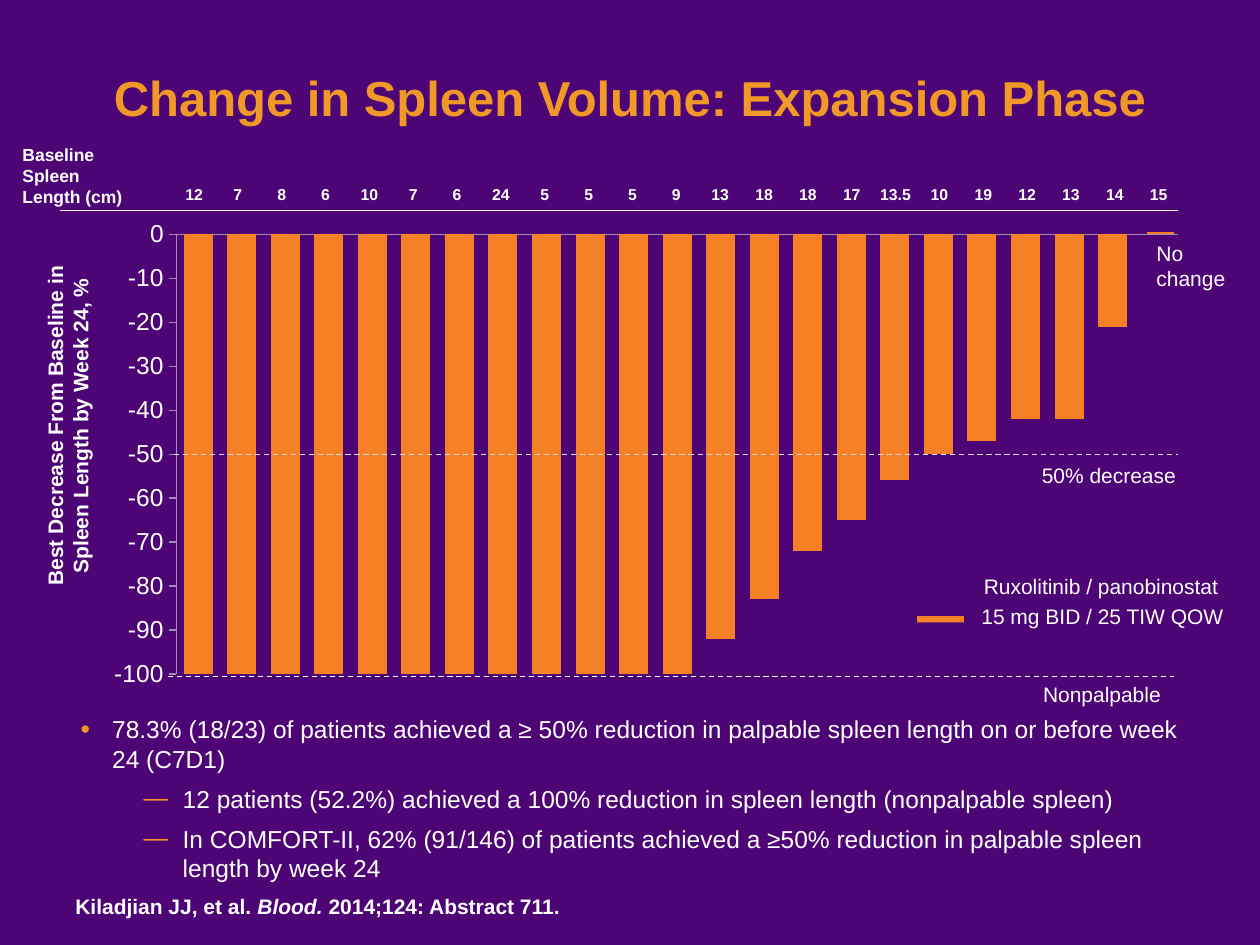
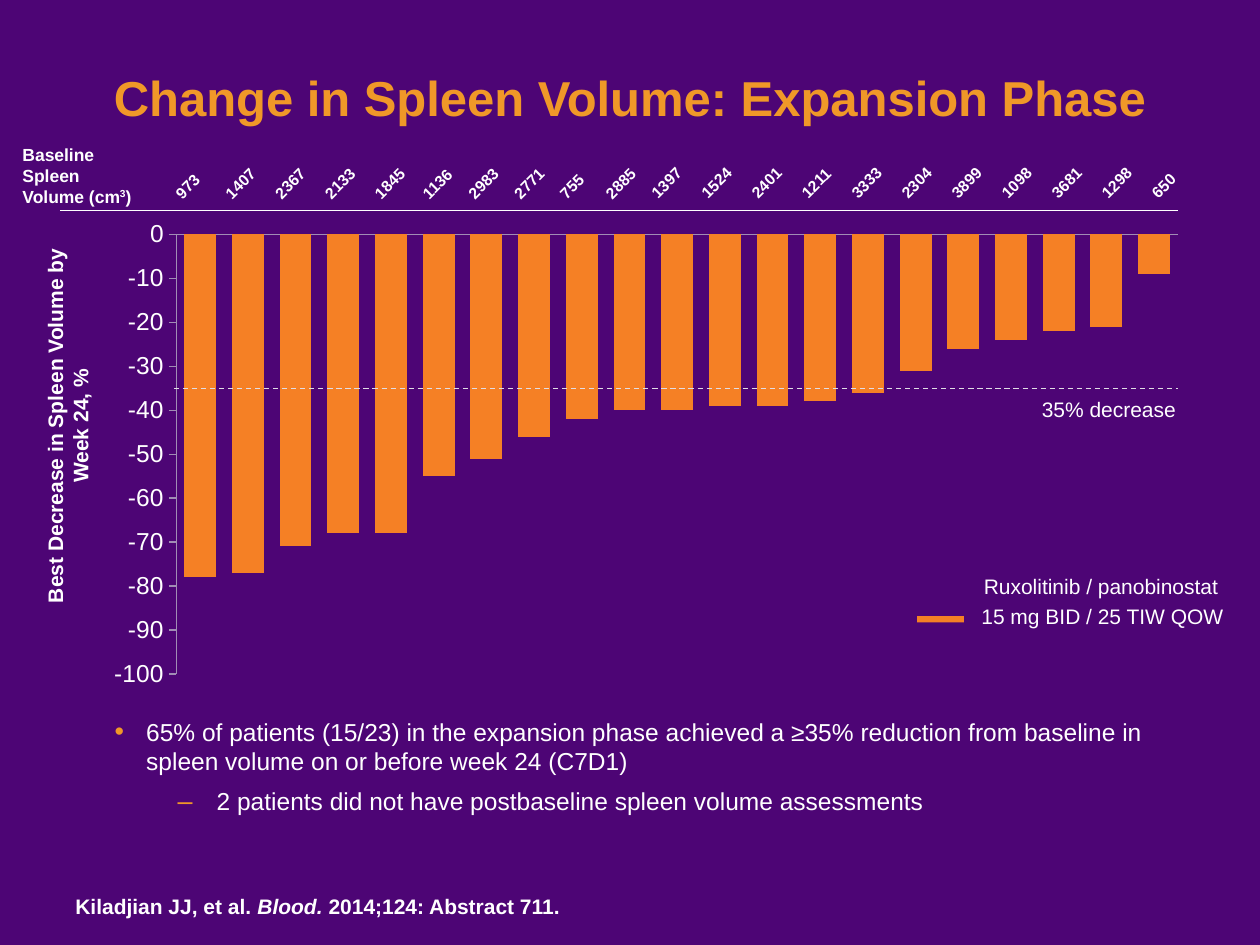
from lxml import etree
from pptx import Presentation
from pptx.chart.data import CategoryChartData
from pptx.dml.color import RGBColor
from pptx.enum.chart import XL_CHART_TYPE, XL_TICK_LABEL_POSITION, XL_TICK_MARK
from pptx.enum.dml import MSO_LINE
from pptx.enum.shapes import MSO_CONNECTOR, MSO_SHAPE
from pptx.enum.text import MSO_ANCHOR, MSO_AUTO_SIZE, PP_ALIGN
from pptx.oxml.ns import qn
from pptx.util import Inches, Pt

COLUMN_CHART = XL_CHART_TYPE.COLUMN_CLUSTERED
NO_LABELS = XL_TICK_LABEL_POSITION.NONE
TICK_NONE, TICK_OUT = XL_TICK_MARK.NONE, XL_TICK_MARK.OUTSIDE
DASH = MSO_LINE.DASH
STRAIGHT, RECTANGLE = MSO_CONNECTOR.STRAIGHT, MSO_SHAPE.RECTANGLE
BOTTOM, TOP = MSO_ANCHOR.BOTTOM, MSO_ANCHOR.TOP
LEFT, CENTER = PP_ALIGN.LEFT, PP_ALIGN.CENTER
FIXED_SIZE = MSO_AUTO_SIZE.NONE

# Shared look; all places are in cells of a 100 by 75 grid
CELL = Inches(0.1)
COLUMNS, ROWS = 100, 75
FONT = "Arial"
PURPLE, GOLD, ORANGE = "4D0575", "F09828", "F58025"
WHITE, PALE, AXIS_GREY = "FFFFFF", "E0DDE5", "A18DB5"
CHART_BOX = (7.3, 16.7, 88, 38.7)
PLOT_BOX = (14, 18.6, 79.5, 34.9)

TITLE = "Change in Spleen Volume: Expansion Phase"
SOURCE = [("Kiladjian JJ, et al. ", {}), ("Blood. ", {"italic": True}),
          ("2014;124: Abstract 711.", {})]

# Baseline values and best changes, one per patient
LENGTHS = ["12", "7", "8", "6", "10", "7", "6", "24", "5", "5", "5", "9", "13",
           "18", "18", "17", "13.5", "10", "19", "12", "13", "14", "15"]
LENGTH_CHANGES = [-100] * 12 + [-92, -83, -72, -65, -56, -50, -47, -42, -42, -21, 0]
VOLUMES = ["973", "1407", "2367", "2133", "1845", "1136", "2983", "2771", "755",
           "2885", "1397", "1524", "2401", "1211", "3333", "2304", "3899",
           "1098", "3681", "1298", "650"]
VOLUME_CHANGES = [-78, -77, -71, -68, -68, -55, -51, -46, -42, -40, -40, -39,
                  -39, -38, -36, -31, -26, -24, -22, -21, -9]


def color(hex_code):
    return RGBColor.from_string(hex_code)


def cells(*lengths):
    return [round(length * CELL) for length in lengths]


def format_font(font, size=12, fill=WHITE, bold=False, italic=False):
    font.name, font.size = FONT, Pt(size)
    font.bold, font.italic = bold, italic
    font.color.rgb = color(fill)


def write(para, text, align=LEFT, raised=None, **font_format):
    """Fill a paragraph with a string or a list of (text, format) spans."""
    para.alignment = align
    spans = [(text, {})] if isinstance(text, str) else text
    for words, changes in spans:
        span_format = {"raised": raised, **font_format, **changes}
        baseline = span_format.pop("raised")
        span = para.add_run()
        span.text = words
        format_font(span.font, **span_format)
        if baseline:
            span.font._element.set("baseline", str(baseline * 1000))


def add_text(slide, box, *lines, wrap=False, inset=True, turn=0, **text_format):
    text_box = slide.shapes.add_textbox(*cells(*box))
    text_box.rotation = turn
    frame = text_box.text_frame
    frame.word_wrap = wrap
    if not inset:
        frame.margin_left = frame.margin_right = 0
        frame.margin_top = frame.margin_bottom = 0
    for index, line in enumerate(lines):
        write(frame.add_paragraph() if index else frame.paragraphs[0], line, **text_format)


def add_line(slide, start, end, fill=WHITE, dash=None):
    line = slide.shapes.add_connector(STRAIGHT, *cells(*start, *end))
    line.line.color.rgb = color(fill)
    line.line.width = Pt(0.75)
    if dash:
        line.line.dash_style = dash
    etree.SubElement(line._element.spPr, qn("a:effectLst"))


def place(placeholder, box, anchor):
    placeholder.left, placeholder.top, placeholder.width, placeholder.height = cells(*box)
    frame = placeholder.text_frame
    frame.auto_size, frame.word_wrap = FIXED_SIZE, True
    frame.vertical_anchor = anchor
    return frame


def add_bullet(para, mark, percent, margin, hanging):
    properties = para._p.get_or_add_pPr()
    properties.set("marL", str(Inches(margin)))
    properties.set("indent", str(-Inches(hanging)))
    bullet_color = etree.SubElement(properties, qn("a:buClr"))
    etree.SubElement(bullet_color, qn("a:srgbClr"), val=GOLD)
    etree.SubElement(properties, qn("a:buSzPct"), val=str(percent * 1000))
    etree.SubElement(properties, qn("a:buFont"), typeface=FONT)
    etree.SubElement(properties, qn("a:buChar"), char=mark)


def add_findings(slide, box, main_point, details, mark, percent):
    frame = place(slide.placeholders[1], box, TOP)
    for index, text in enumerate([main_point, *details]):
        para = frame.add_paragraph() if index else frame.paragraphs[0]
        if index:
            add_bullet(para, mark, percent, 0.81, 0.31)
        else:
            add_bullet(para, "•", 110, 0.25, 0.25)
        para.level = min(index, 1)
        para.space_before = Pt(6 if index else 0)
        write(para, text, size=14)


def fix_plot_area(chart):
    """Pin the inner plot area to PLOT_BOX."""
    left, top, width, height = CHART_BOX
    shares = {"x": (PLOT_BOX[0] - left) / width, "y": (PLOT_BOX[1] - top) / height,
              "w": PLOT_BOX[2] / width, "h": PLOT_BOX[3] / height}
    plot_area = chart._chartSpace.chart.plotArea
    for old_layout in plot_area.findall(qn("c:layout")):
        plot_area.remove(old_layout)
    layout = etree.Element(qn("c:layout"))
    plot_area.insert(0, layout)
    manual = etree.SubElement(layout, qn("c:manualLayout"))
    etree.SubElement(manual, qn("c:layoutTarget"), val="inner")
    for side in "xy":
        etree.SubElement(manual, qn(f"c:{side}Mode"), val="edge")
    for side, share in shares.items():
        etree.SubElement(manual, qn(f"c:{side}"), val=f"{share:.4f}")


def add_change_chart(slide, changes):
    data = CategoryChartData()
    data.categories = [str(number) for number in range(1, len(changes) + 1)]
    data.add_series("Series 1", changes)
    chart = slide.shapes.add_chart(COLUMN_CHART, *cells(*CHART_BOX), data).chart
    chart.has_legend = chart.has_title = False
    format_font(chart.font, size=14)
    plot = chart.plots[0]
    plot.gap_width, plot.vary_by_categories = 50, False
    bars = plot.series[0]
    bars.invert_if_negative = False
    bars.format.fill.solid()
    bars.format.fill.fore_color.rgb = color(ORANGE)

    patients, percent = chart.category_axis, chart.value_axis
    for axis in (patients, percent):
        axis.has_major_gridlines = False
        axis.minor_tick_mark = TICK_NONE
        axis.format.line.color.rgb = color(AXIS_GREY)
        axis.format.line.width = Pt(0.75)
    patients.major_tick_mark = TICK_NONE
    patients.tick_label_position = NO_LABELS
    percent.major_tick_mark = TICK_OUT
    percent.minimum_scale, percent.maximum_scale, percent.major_unit = -100, 0, 10
    fix_plot_area(chart)


def add_baseline_row(slide, heading, values, runs, turn=0, align=CENTER):
    """Each run is (count, first centre, pitch, width, top)."""
    add_text(slide, (0.8, 10.9, 10.9, 6.1), heading, wrap=True, size=10, bold=True)
    add_line(slide, (93.5, 16.7), (4.8, 16.7))
    places = [(first + step * pitch - width / 2, top, width, 1.5)
              for count, first, pitch, width, top in runs for step in range(count)]
    for box, value in zip(places, values):
        add_text(slide, box, value, wrap=True, inset=False, turn=turn,
                 align=align, size=9, bold=True)


def add_threshold(slide, percent):
    level = PLOT_BOX[1] + PLOT_BOX[3] * percent / 100
    add_line(slide, (13.8, level), (93.5, level), PALE, DASH)
    add_text(slide, (81.7, level + 0.2, 12.7, 3), f"{percent}% decrease")


def add_dose_key(slide):
    add_text(slide, (77.1, 45, 21.3, 3), "Ruxolitinib / panobinostat")
    add_text(slide, (76.9, 47.4, 21.5, 3), "15 mg BID / 25 TIW QOW")
    swatch = slide.shapes.add_shape(RECTANGLE, *cells(72.8, 48.9, 3.7, 0.5))
    swatch.shadow.inherit = False
    swatch.fill.solid()
    swatch.fill.fore_color.rgb = color(ORANGE)
    swatch.line.fill.background()


def add_response_slide(deck, axis_title, changes, threshold):
    """Add the parts that both slides share."""
    slide = deck.slides.add_slide(deck.slide_layouts[1])
    frame = place(slide.shapes.title, (0, 2.2, COLUMNS, 8.3), BOTTOM)
    write(frame.paragraphs[0], TITLE, align=CENTER, size=28, fill=GOLD, bold=True)
    add_change_chart(slide, changes)
    add_text(slide, (-10.7, 31.3, 32.1, 5), axis_title, wrap=True, turn=270,
             align=CENTER, bold=True)
    add_threshold(slide, threshold)
    add_dose_key(slide)
    add_text(slide, (5, 70.4, 41.3, 3), SOURCE, bold=True)
    return slide


def add_length_slide(deck):
    slide = add_response_slide(
        deck, "Best Decrease From Baseline in Spleen Length by Week 24, %",
        LENGTH_CHANGES, 50)
    add_baseline_row(slide, "Baseline Spleen Length (cm)", LENGTHS,
                     [(len(LENGTHS), 15.4, 3.48, 3.7, 14.7)])
    # Marks for the unchanged patient and the nonpalpable level
    add_line(slide, (91, 18.5), (93.2, 18.5), ORANGE)
    add_text(slide, (90.8, 18.6, 7.5, 5), "No", "change")
    add_line(slide, (13.3, 53.7), (93.2, 53.7), dash=DASH)
    add_text(slide, (81.8, 53.6, 11.4, 3), "Nonpalpable")
    add_findings(
        slide, (5.4, 56.2, 89.6, 14.5),
        "78.3% (18/23) of patients achieved a ≥ 50% reduction in palpable spleen "
        "length on or before week 24 (C7D1)",
        ["12 patients (52.2%) achieved a 100% reduction in spleen length "
         "(nonpalpable spleen)",
         "In COMFORT-II, 62% (91/146) of patients achieved a ≥50% reduction in "
         "palpable spleen length by week 24"], "—", 100)


def add_volume_slide(deck):
    slide = add_response_slide(
        deck, "Best Decrease in Spleen Volume by Week 24, %", VOLUME_CHANGES, 35)
    heading = [("Baseline Spleen Volume (cm", {}), ("3", {"raised": 30}), (")", {})]
    add_baseline_row(slide, heading, VOLUMES,
                     [(5, 15.4, 3.95, 3.6, 13.5), (5, 34.9, 3.63, 3.3, 13.6),
                      (11, 53.2, 3.97, 3.7, 13.4)], turn=315, align=LEFT)
    add_findings(
        slide, (8.1, 56.4, 89.5, 8.9),
        "65% of patients (15/23) in the expansion phase achieved a ≥35% reduction "
        "from baseline in spleen volume on or before week 24 (C7D1)",
        ["2 patients did not have postbaseline spleen volume assessments"], "‒", 110)


def main():
    deck = Presentation()
    deck.slide_width, deck.slide_height = cells(COLUMNS, ROWS)
    background = deck.slide_master.background.fill
    background.solid()
    background.fore_color.rgb = color(PURPLE)
    add_length_slide(deck)
    add_volume_slide(deck)
    deck.save("out.pptx")


if __name__ == "__main__":
    main()
